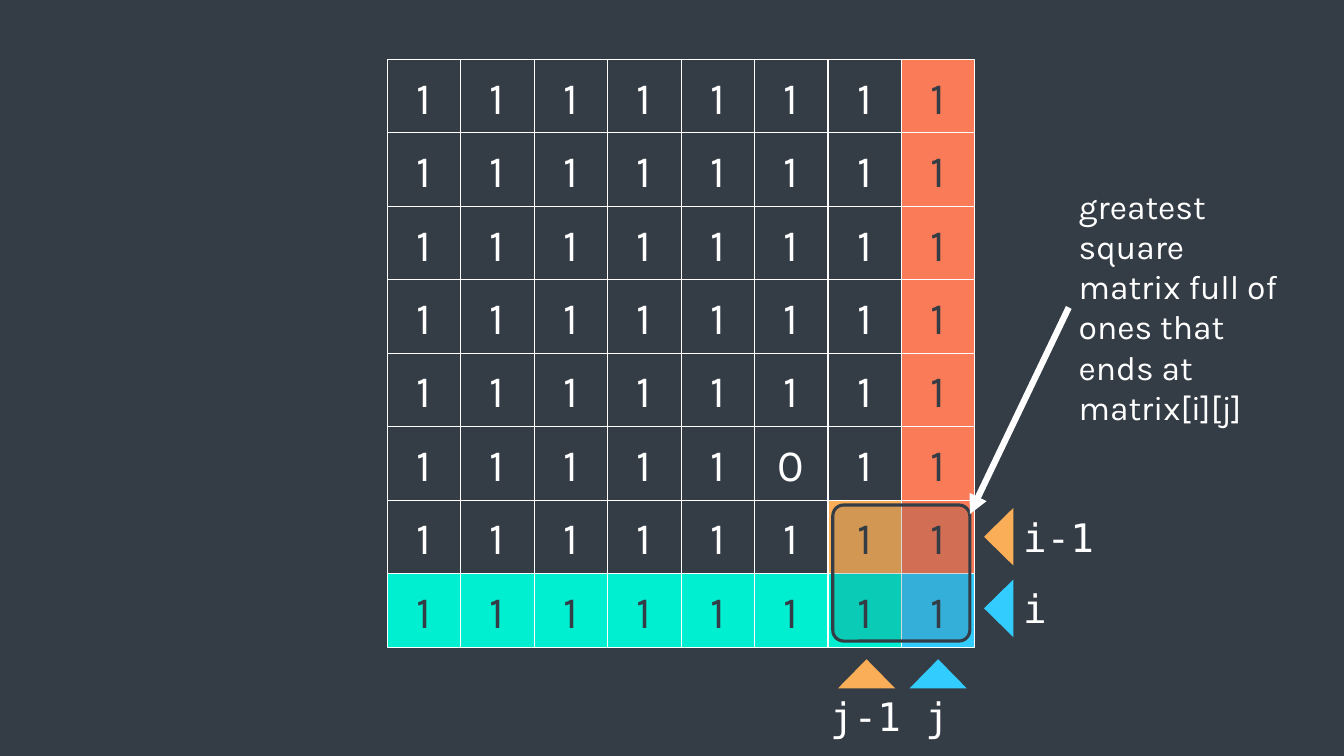
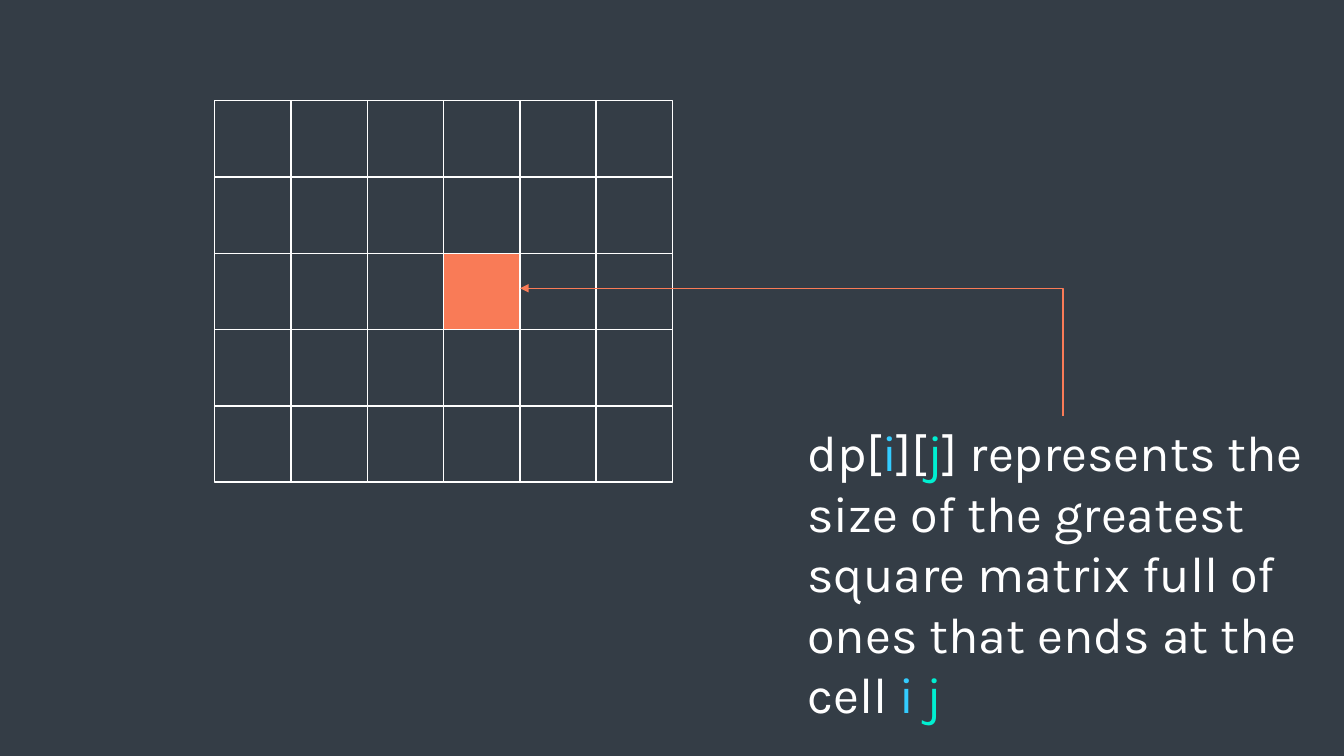
from lxml import etree
from pptx import Presentation
from pptx.dml.color import RGBColor
from pptx.enum.shapes import MSO_CONNECTOR, MSO_SHAPE
from pptx.enum.text import MSO_ANCHOR, MSO_AUTO_SIZE, PP_ALIGN
from pptx.oxml.ns import qn
from pptx.util import Inches, Pt

SLATE = RGBColor(0x34, 0x3D, 0x46)
WHITE = RGBColor(0xFF, 0xFF, 0xFF)
CORAL = RGBColor(0xF9, 0x7B, 0x57)
AMBER = RGBColor(0xF9, 0xAE, 0x57)
MINT = RGBColor(0x00, 0xEF, 0xD1)
SKY = RGBColor(0x33, 0xCC, 0xFF)

SANS = "Karla"
MONO = "DejaVu Sans Mono"

RECTANGLE = MSO_SHAPE.RECTANGLE
ROUNDED = MSO_SHAPE.ROUNDED_RECTANGLE
TRIANGLE = MSO_SHAPE.ISOSCELES_TRIANGLE
STRAIGHT = MSO_CONNECTOR.STRAIGHT
ELBOW = MSO_CONNECTOR.ELBOW
LEFT = PP_ALIGN.LEFT
CENTER = PP_ALIGN.CENTER
MIDDLE = MSO_ANCHOR.MIDDLE
GROW = MSO_AUTO_SIZE.SHAPE_TO_FIT_TEXT

TOP_SIDE, LEFT_SIDE = 0, 1


class Deck:
    """Dark slides with cell grids, markers, labels and arrows."""

    def __init__(self):
        self.prs = Presentation()
        self.prs.slide_width = Inches(13.33)
        self.prs.slide_height = Inches(7.5)
        self.slide = None

    def new_slide(self):
        self.slide = self.prs.slides.add_slide(self.prs.slide_layouts[6])
        background = self.slide.background.fill
        background.solid()
        background.fore_color.rgb = SLATE

    def block(self, kind, x, y, w, h, color, border=None, border_width=0.75):
        block = self.slide.shapes.add_shape(
            kind, Inches(x), Inches(y), Inches(w), Inches(h))
        block.shadow.inherit = False
        block.fill.solid()
        block.fill.fore_color.rgb = color
        if border is None:
            block.line.fill.background()
        else:
            block.line.color.rgb = border
            block.line.width = Pt(border_width)
        return block

    def cell(self, x, y, size, color, digit="", border_width=0.75):
        cell = self.block(RECTANGLE, x, y, size, size, color, WHITE, border_width)
        if digit:
            cell.text_frame.vertical_anchor = MIDDLE
            ink = WHITE if color == SLATE else SLATE
            self.set_text(cell.text_frame, [(digit, ink)], 32, SANS, CENTER)

    def grid(self, x, y, size, rows, columns, color_at, digit_at=None, border_width=0.75):
        for row in range(rows):
            for column in range(columns):
                digit = digit_at(row, column) if digit_at else ""
                self.cell(x + column * size, y + row * size, size,
                          color_at(row, column), digit, border_width)

    def marker(self, x, y, color, rotation=0):
        self.block(TRIANGLE, x, y, 0.57, 0.29, color).rotation = rotation

    def frame(self, x, y, w, h):
        frame = self.block(ROUNDED, x, y, w, h, SLATE, SLATE, 2.25)
        frame.adjustments[0] = 0.08
        tint = frame._element.spPr.find(qn("a:solidFill"))[0]
        etree.SubElement(tint, qn("a:alpha"), val="20000")

    def set_text(self, text_frame, pieces, size, font, align):
        paragraph = text_frame.paragraphs[0]
        paragraph.alignment = align
        paragraph.font.size = Pt(size)
        paragraph.font.name = font
        for words, color in pieces:
            run = paragraph.add_run()
            run.text = words
            run.font.color.rgb = color

    def label(self, x, y, w, h, pieces, size, font=SANS, align=LEFT):
        label = self.slide.shapes.add_textbox(
            Inches(x), Inches(y), Inches(w), Inches(h))
        label.text_frame.word_wrap = True
        label.text_frame.auto_size = GROW
        self.set_text(label.text_frame, pieces, size, font, align)
        return label

    def arrow(self, kind, start, end, color, width, tip):
        arrow = self.slide.shapes.add_connector(
            kind, *(Inches(value) for value in start + end))
        arrow.line.color.rgb = color
        arrow.line.width = Pt(width)
        properties = arrow._element.spPr
        etree.SubElement(properties.find(qn("a:ln")), qn(f"a:{tip}"), type="triangle")
        etree.SubElement(properties, qn("a:effectLst"))
        if kind == ELBOW:
            properties.find(qn("a:prstGeom")).set("prst", "bentConnector2")
        return arrow


def matrix_color(row, column):
    last = 7
    if (row, column) == (last, last):
        return SKY
    if row == last:
        return MINT
    if column == last:
        return CORAL
    return AMBER if (row, column) == (last - 1, last - 1) else SLATE


def matrix_digit(row, column):
    return "0" if (row, column) == (5, 5) else "1"


def dp_color(row, column):
    return CORAL if (row, column) == (2, 3) else SLATE


def matrix_slide(deck):
    deck.new_slide()
    deck.grid(3.84, 0.59, 5.83 / 8, 8, 8, matrix_color, matrix_digit)
    for index, (suffix, color) in enumerate([("-1", AMBER), ("", SKY)]):
        shift = index * 0.71
        deck.marker(8.31 + shift, 6.54, color)
        deck.marker(9.62, 5.18 + shift, color, 270)
        deck.label(10.05, 5.04 + shift, 1.33, 0.57, [("i" + suffix, WHITE)], 28, MONO)
        deck.label(7.92 + shift, 6.82, 1.33, 0.57, [("j" + suffix, WHITE)], 28, MONO, CENTER)
    deck.frame(8.26, 5.01, 1.36, 1.35)
    explanation = deck.label(10.6, 1.79, 2.21, 2.52, [
        ("greatest square matrix full of ones that ends at matrix[i][j]", WHITE)], 24)
    pointer = deck.arrow(STRAIGHT, (10.6, 3.05), (9.62, 5.1), WHITE, 4.5, "tailEnd")
    pointer.begin_connect(explanation, LEFT_SIDE)


def dp_slide(deck):
    deck.new_slide()
    deck.grid(2.13, 1, 4.54 / 6, 5, 6, dp_color, border_width=1)
    definition = deck.label(7.91, 4.13, 5.27, 3.13, [
        ("dp[", WHITE), ("i", SKY), ("][", WHITE), ("j", MINT),
        ("] represents the size of the greatest square matrix full of ones "
         "that ends at the cell ", WHITE),
        ("i ", SKY), ("j", MINT)], 36)
    pointer = deck.arrow(ELBOW, (5.16, 2.86), (10.54, 4.13), CORAL, 1, "headEnd")
    pointer.end_connect(definition, TOP_SIDE)


def main():
    deck = Deck()
    matrix_slide(deck)
    dp_slide(deck)
    deck.prs.save("out.pptx")


if __name__ == "__main__":
    main()
